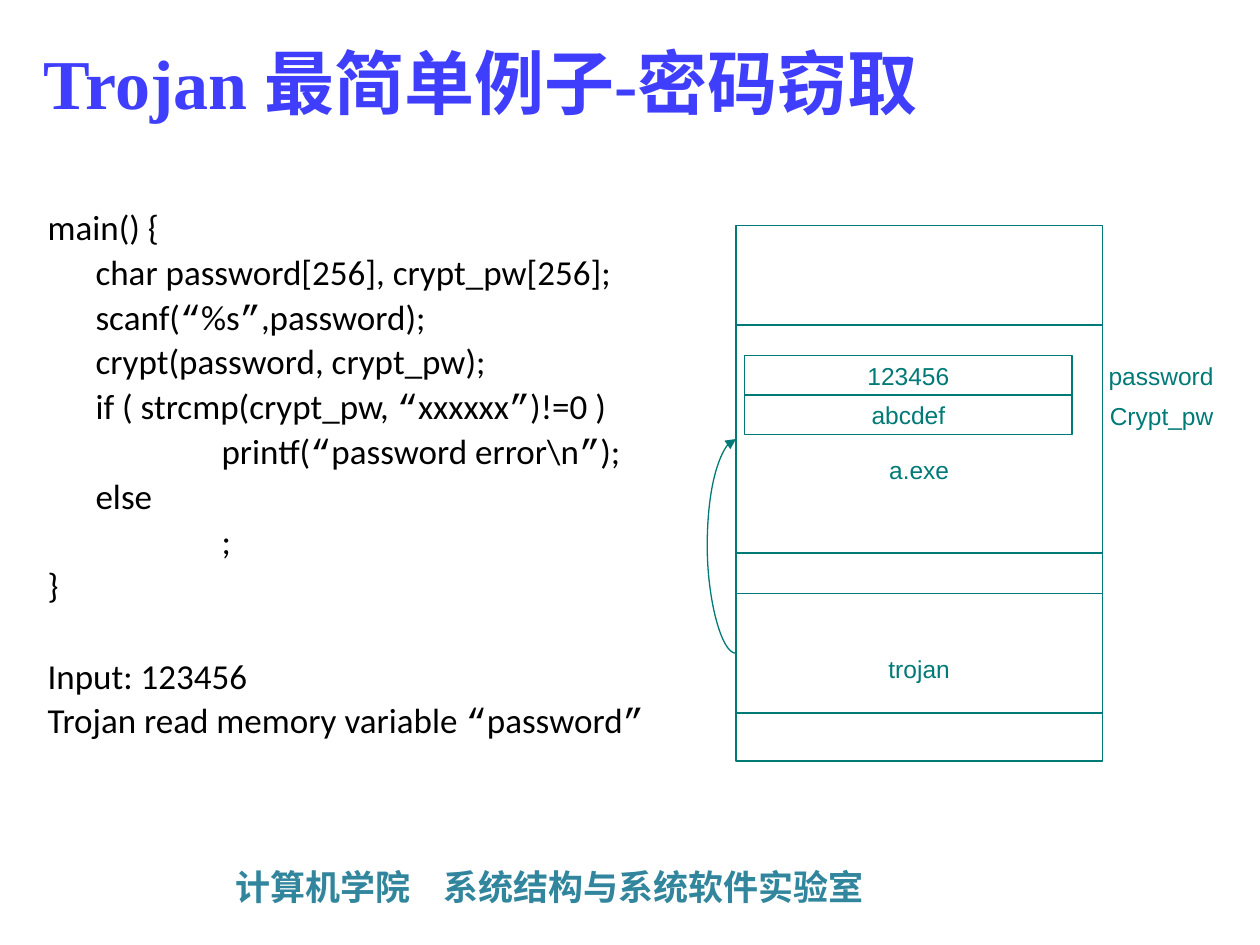
"""Slide on a minimal password-stealing trojan: code beside a memory map."""
from lxml import etree
from pptx import Presentation
from pptx.dml.color import RGBColor
from pptx.enum.shapes import MSO_CONNECTOR, MSO_SHAPE
from pptx.enum.text import MSO_ANCHOR, PP_ALIGN
from pptx.oxml.ns import qn
from pptx.util import Emu, Inches, Pt

RECTANGLE = MSO_SHAPE.RECTANGLE
CURVE = MSO_CONNECTOR.CURVE
MIDDLE, TOP = MSO_ANCHOR.MIDDLE, MSO_ANCHOR.TOP
CENTER = PP_ALIGN.CENTER
LEFT_SIDE = 1

TEAL = "007A77"
CJK = "Noto Sans CJK SC"

TITLE = "Trojan 最简单例子-密码窃取"
FOOTER = "计算机学院\t系统结构与系统软件实验室"
FOOTER_TAB = 1.65

CODE_INDENTS = (0, 0.38, 1.38)
LINE_GAP, SECTION_GAP = 4, 30
CODE = [
    (0, "main() {"),
    (1, "char password[256], crypt_pw[256];"),
    (1, "scanf(“%s”,password);"),
    (1, "crypt(password, crypt_pw);"),
    (1, "if ( strcmp(crypt_pw, “xxxxxx”)!=0 )"),
    (2, "printf(“password error\\n”);"),
    (1, "else"),
    (2, ";"),
    (0, "}"),
]
REMARKS = [(0, "Input: 123456"), (0, "Trojan read memory variable “password”")]

MEMORY_LEFT, MEMORY_WIDTH = 5.84, 2.91
VARIABLE_LEFT, VARIABLE_WIDTH, VARIABLE_HEIGHT = 5.91, 2.6, 0.32
LABEL_WIDTH, LABEL_HEIGHT = 1.2, 0.33
VARIABLES = [
    ("123456", "password", 2.82, 8.7),
    ("abcdef", "Crypt_pw", 3.13, 8.71),
]
CURVE_WIDTH, CURVE_BEND = 1588, -14400000


def color(value):
    return RGBColor.from_string(value)


def add_run(paragraph, text, size, font, fill, bold=False):
    run = paragraph.add_run()
    run.text = text
    run.font.size = Pt(size)
    run.font.name = font
    run.font.bold = bold
    run.font.color.rgb = color(fill)
    return run


def set_east_asian(run):
    etree.SubElement(run.font._element, qn("a:ea"), typeface=CJK)


def add_text_frame(slide, left, top, width, height, anchor=TOP):
    frame = slide.shapes.add_textbox(
        Inches(left), Inches(top), Inches(width), Inches(height)).text_frame
    frame.word_wrap = True
    frame.vertical_anchor = anchor
    return frame


def add_block(slide, left, top, width, height, text="", drop=0):
    block = slide.shapes.add_shape(
        RECTANGLE, Inches(left), Inches(top), Inches(width), Inches(height))
    block.shadow.inherit = False
    block.fill.background()
    block.line.color.rgb = color(TEAL)
    block.line.width = Pt(0.75)
    if text:
        frame = block.text_frame
        frame.word_wrap = False
        frame.vertical_anchor = MIDDLE
        frame.margin_top = Inches(0.05 + drop)
        frame.paragraphs[0].alignment = CENTER
        add_run(frame.paragraphs[0], text, 14, "Arial", TEAL)
    return block


def add_code(slide):
    frame = add_text_frame(slide, 0.28, 1.62, 5.25, 4.5)
    for number, (level, line) in enumerate(CODE + REMARKS):
        paragraph = frame.add_paragraph() if number else frame.paragraphs[0]
        properties = paragraph._p.get_or_add_pPr()
        properties.set("marL", str(Inches(CODE_INDENTS[level])))
        properties.set("indent", "0")
        paragraph.line_spacing = 0.9
        if number:
            gap = SECTION_GAP if number == len(CODE) else LINE_GAP
            paragraph.space_before = Pt(gap)
        for piece in line.replace("“", "\0“\0").replace("”", "\0”\0").split("\0"):
            if piece:
                font = "Courier New" if piece in "“”" else "Calibri"
                add_run(paragraph, piece, 20, font, "000000")


def add_memory_map(slide):
    add_block(slide, MEMORY_LEFT, 1.79, MEMORY_WIDTH, 4.25)
    for value, name, top, label_left in VARIABLES:
        add_block(slide, VARIABLE_LEFT, top, VARIABLE_WIDTH, VARIABLE_HEIGHT, value)
        label = add_text_frame(slide, label_left, top, LABEL_WIDTH, LABEL_HEIGHT)
        add_run(label.paragraphs[0], name, 14, "Arial", TEAL)
    program = add_block(slide, MEMORY_LEFT, 2.58, MEMORY_WIDTH, 1.81, "a.exe", 0.49)
    trojan = add_block(slide, MEMORY_LEFT, 4.71, MEMORY_WIDTH, 0.95, "trojan", 0.25)
    add_attack_arrow(slide, trojan, program)


def add_attack_arrow(slide, source, target):
    arrow = slide.shapes.add_connector(
        CURVE, Inches(MEMORY_LEFT), Inches(5.18), Inches(MEMORY_LEFT), Inches(3.49))
    arrow.begin_connect(source, LEFT_SIDE)
    arrow.end_connect(target, LEFT_SIDE)
    arrow.width = Emu(CURVE_WIDTH)
    arrow.line.color.rgb = color(TEAL)
    arrow.line.width = Pt(0.75)
    properties = arrow._element.spPr
    geometry = properties.find(qn("a:prstGeom"))
    guides = geometry.find(qn("a:avLst"))
    if guides is None:
        guides = etree.SubElement(geometry, qn("a:avLst"))
    etree.SubElement(guides, qn("a:gd"), name="adj1", fmla=f"val {CURVE_BEND}")
    etree.SubElement(properties.find(qn("a:ln")), qn("a:tailEnd"), type="triangle")
    etree.SubElement(properties, qn("a:effectLst"))


def add_footer(slide):
    paragraph = add_text_frame(slide, 1.77, 6.82, 7.24, 0.44).paragraphs[0]
    tabs = etree.SubElement(paragraph._p.get_or_add_pPr(), qn("a:tabLst"))
    etree.SubElement(tabs, qn("a:tab"), pos=str(Inches(FOOTER_TAB)), algn="l")
    set_east_asian(add_run(paragraph, FOOTER, 20, CJK, "31859C", True))


def main():
    deck = Presentation()
    deck.slide_width, deck.slide_height = Inches(10), Inches(7.5)
    slide = deck.slides.add_slide(deck.slide_layouts[6])
    add_footer(slide)
    title = add_text_frame(slide, 0.25, 0.13, 8.61, 1.04, MIDDLE).paragraphs[0]
    set_east_asian(add_run(title, TITLE, 40, "Times New Roman", "3E3EFC", True))
    add_code(slide)
    add_memory_map(slide)
    deck.save("out.pptx")


if __name__ == "__main__":
    main()
